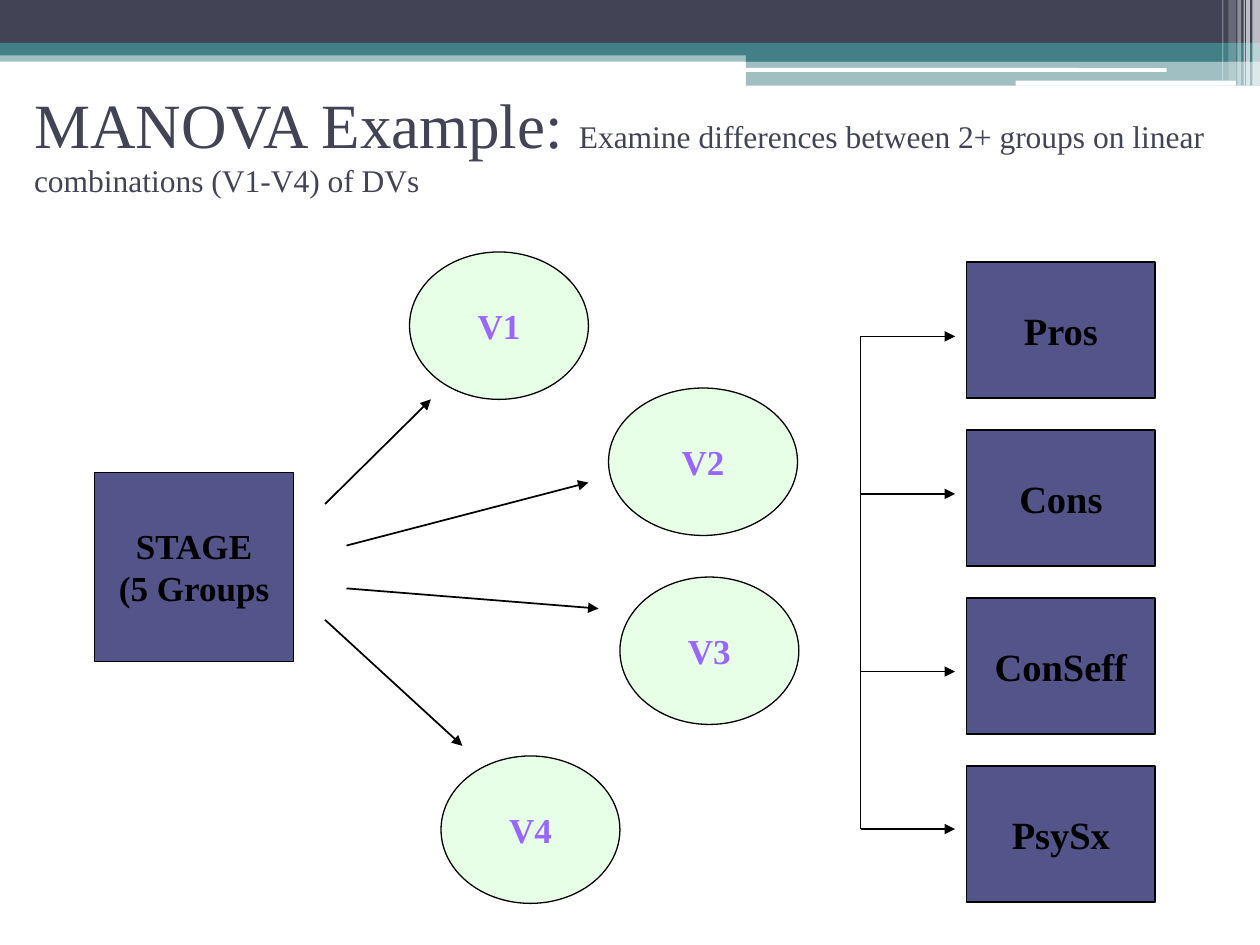
from dataclasses import dataclass

from lxml import etree
from pptx import Presentation
from pptx.dml.color import RGBColor
from pptx.enum.shapes import MSO_CONNECTOR, MSO_SHAPE
from pptx.enum.text import MSO_ANCHOR, MSO_AUTO_SIZE, PP_ALIGN
from pptx.oxml.ns import qn
from pptx.util import Inches, Pt

RECT = MSO_SHAPE.RECTANGLE
ROUND = MSO_SHAPE.ROUNDED_RECTANGLE
OVAL = MSO_SHAPE.OVAL
STRAIGHT = MSO_CONNECTOR.STRAIGHT
MIDDLE = MSO_ANCHOR.MIDDLE
NO_FIT = MSO_AUTO_SIZE.NONE
LEFT, CENTER = PP_ALIGN.LEFT, PP_ALIGN.CENTER


@dataclass(frozen=True)
class Theme:
    font: str = "Times New Roman"
    dark: str = "424456"
    teal: str = "438086"
    white: str = "FFFFFF"
    black: str = "000000"
    box: str = "53548A"
    mint: str = "E7FFE7"
    violet: str = "9966FF"
    head: int = 36
    sub: int = 18
    label: int = 20
    large: int = 22
    thin: float = 0.75
    rule: float = 1


def put_text(para, text, *, font, size, color, bold=False, align=CENTER):
    para.alignment = align
    run = para.add_run()
    run.text = text
    run.font.name = font
    run.font.size = Pt(size)
    run.font.bold = bold
    run.font.color.rgb = RGBColor.from_string(color)


class Deck:
    """Holds the theme and the slide being drawn."""

    def __init__(self, slide, theme):
        self.slide = slide
        self.theme = theme

    def shape(self, kind, at, color, line=None):
        item = self.slide.shapes.add_shape(kind, *map(Inches, at))
        item.shadow.inherit = False
        item.fill.solid()
        item.fill.fore_color.rgb = RGBColor.from_string(color)
        if line:
            item.line.color.rgb = RGBColor.from_string(self.theme.black)
            item.line.width = Pt(line)
        else:
            item.line.fill.background()
        return item

    def band(self, at, color, alpha=100, kind=RECT):
        """Draw a plain strip; alpha is its opacity in percent."""
        item = self.shape(kind, at, color)
        if alpha < 100:
            tint = item.element.spPr.find(f".//{qn('a:srgbClr')}")
            etree.SubElement(tint, qn("a:alpha"), val=str(alpha * 1000))

    def node(self, kind, at, lines, fill, color, size, line):
        frame = self.shape(kind, at, fill, line).text_frame
        frame.word_wrap = False
        frame.vertical_anchor = MIDDLE
        for i, text in enumerate(lines):
            para = frame.add_paragraph() if i else frame.paragraphs[0]
            put_text(para, text, font=self.theme.font, size=size,
                     color=color, bold=True)

    def line(self, start, end, arrow=True):
        item = self.slide.shapes.add_connector(
            STRAIGHT, *map(Inches, (*start, *end)))
        item.line.color.rgb = RGBColor.from_string(self.theme.black)
        item.line.width = Pt(self.theme.rule)
        props = item.element.spPr
        if arrow:
            etree.SubElement(props.find(qn("a:ln")), qn("a:tailEnd"),
                             type="triangle")
        etree.SubElement(props, qn("a:effectLst"))

    def title(self, at, parts):
        """Fill the title with (text, size) parts and bring it forward."""
        item = self.slide.shapes.title
        item.left, item.top, item.width, item.height = map(Inches, at)
        frame = item.text_frame
        frame.word_wrap = True
        frame.auto_size = NO_FIT
        frame.vertical_anchor = MIDDLE
        for text, size in parts:
            put_text(frame.paragraphs[0], text, font=self.theme.font,
                     size=size, color=self.theme.dark, align=LEFT)
        item.element.getparent().append(item.element)


def draw_bands(deck):
    look = deck.theme
    deck.band((0, 0.4, 10, 0.09), look.teal, 50)
    deck.band((0, 0, 10, 0.34), look.dark)
    deck.band((0, 0.34, 10, 0.1), look.teal)
    deck.band((5.92, 0.39, 4.08, 0.1), look.teal)
    deck.band((5.92, 0.48, 4.08, 0.2), look.teal, 50)
    deck.band((5.91, 0.54, 3.35, 0.03), look.white, kind=ROUND)
    deck.band((8.06, 0.64, 1.75, 0.04), look.white, kind=ROUND)
    stripes = [(9.94, 0.06, 0.68, 65), (9.89, 0.03, 0.68, 65),
               (9.87, 0.01, 0.68, 60), (9.82, 0.03, 0.68, 40),
               (9.75, 0.06, 0.64, 20), (9.7, 0.01, 0.64, 30)]
    for left, width, height, alpha in stripes:
        deck.band((left, 0, width, height), look.white, alpha)


def draw_model(deck):
    look = deck.theme
    ovals = [("V4", 3.5, 6, 1.42), ("V1", 3.25, 2, 1.42),
             ("V2", 4.83, 3.08, 1.5), ("V3", 4.92, 4.58, 1.42)]
    for name, left, top, width in ovals:
        deck.node(OVAL, (left, top, width, 1.17), [name], look.mint,
                  look.violet, look.label, look.thin)

    arrows = [((2.58, 4), (3.42, 3.17)), ((2.75, 4.33), (4.67, 3.83)),
              ((2.75, 4.67), (4.75, 4.83)), ((2.58, 4.92), (3.67, 5.92))]
    for start, end in arrows:
        deck.line(start, end)

    deck.node(RECT, (0.75, 3.75, 1.58, 1.5), ["STAGE", "(5 Groups"],
              look.box, look.black, look.label, look.rule)
    pitch = 4 / 3
    for i, name in enumerate(["Pros", "Cons", "ConSeff", "PsySx"]):
        deck.node(RECT, (7.67, 2.08 + i * pitch, 1.5, 1.08), [name],
                  look.box, look.black, look.large, look.rule)

    trunk = 6.83
    levels = [2.67, 3.92, 5.33, 6.58]
    for y in levels:
        deck.line((trunk, y), (7.58, y))
    deck.line((trunk, levels[0]), (trunk, levels[-1]), arrow=False)


def main():
    prs = Presentation()
    prs.slide_width, prs.slide_height = Inches(10), Inches(7.5)
    look = Theme()
    deck = Deck(prs.slides.add_slide(prs.slide_layouts[5]), look)
    draw_bands(deck)
    deck.title((0.17, 0.67, 9.83, 0.92), [
        ("MANOVA Example: ", look.head),
        ("Examine differences between 2+ groups on linear "
         "combinations (V1-V4) of DVs", look.sub)])
    draw_model(deck)
    prs.save("out.pptx")


if __name__ == "__main__":
    main()
